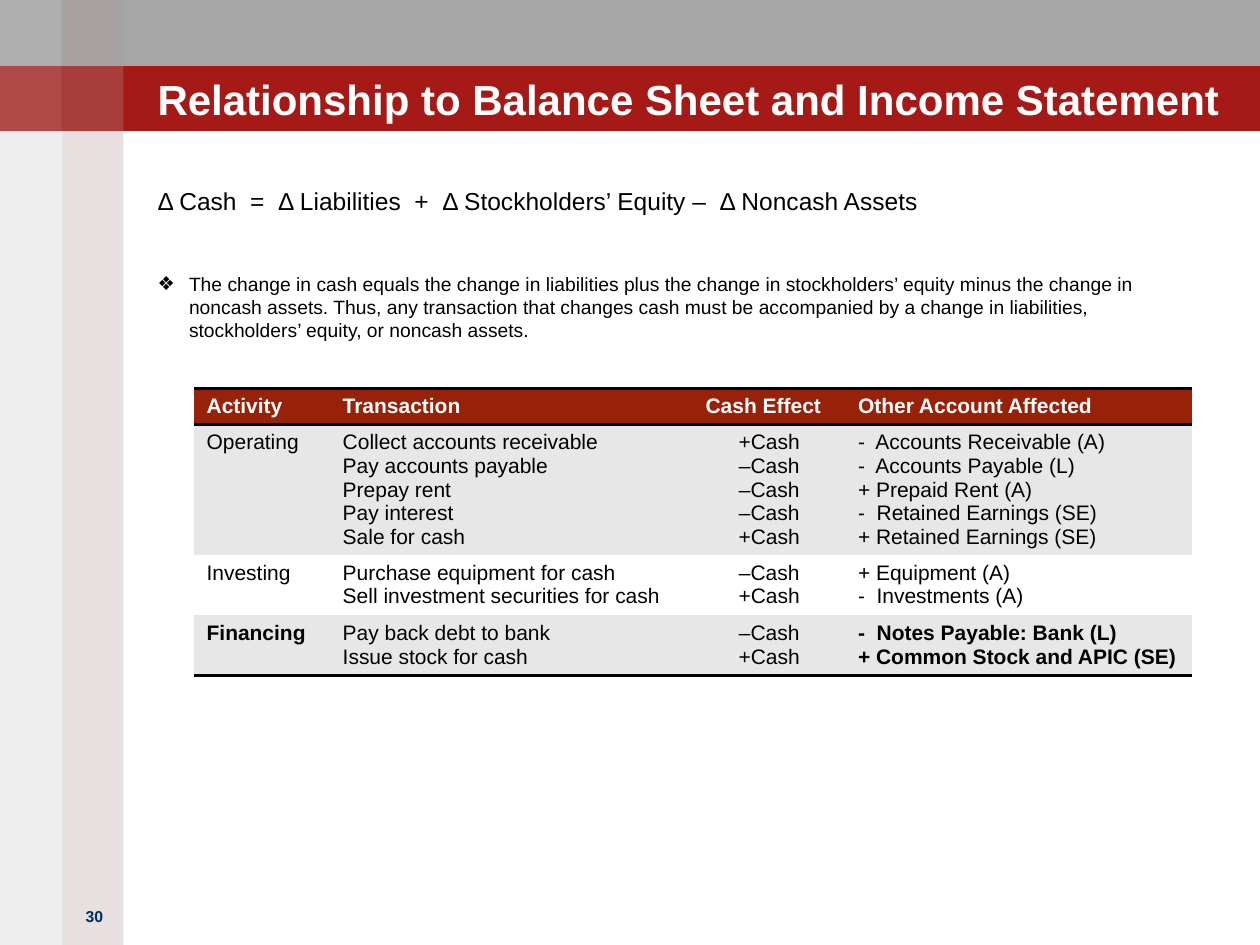
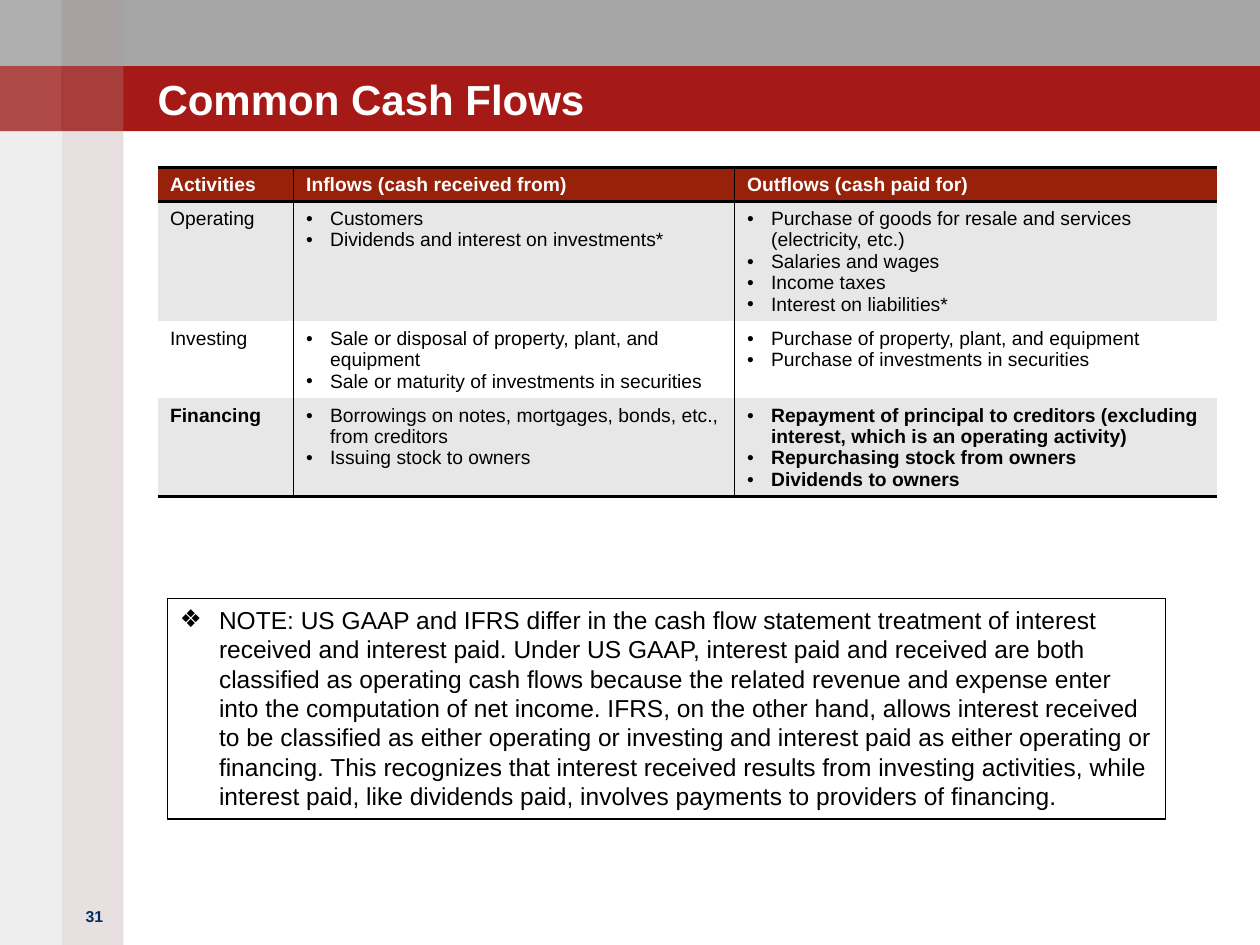
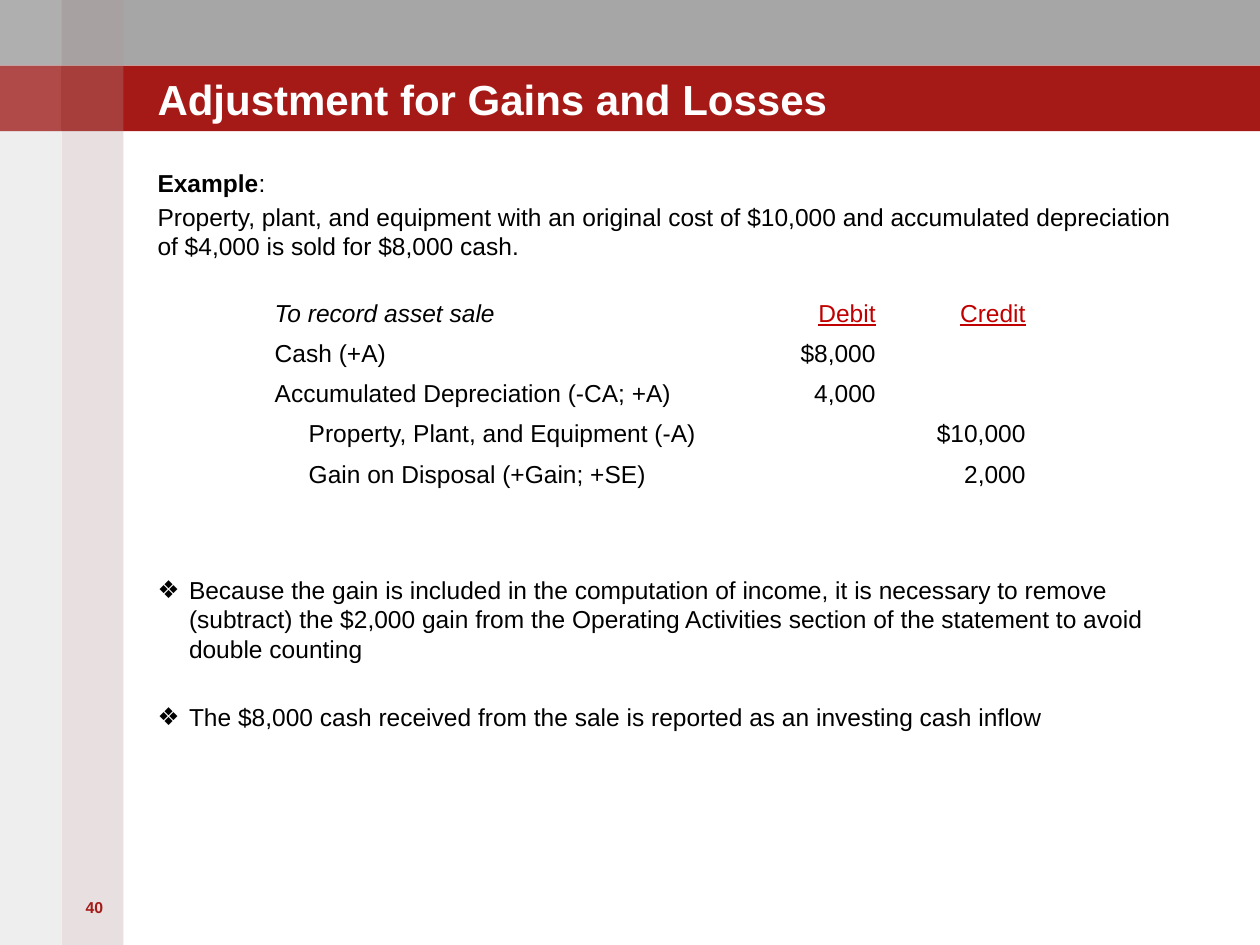
from dataclasses import dataclass
from typing import NamedTuple

from lxml.etree import SubElement
from pptx import Presentation
from pptx.dml.color import RGBColor
from pptx.enum.shapes import MSO_SHAPE
from pptx.enum.text import MSO_ANCHOR, MSO_AUTO_SIZE, PP_ALIGN
from pptx.oxml.ns import qn
from pptx.util import Inches, Pt


@dataclass(frozen=True)
class Theme:
    font: str = "Arial"
    gray: str = "A6A6A6"
    red: str = "A51A17"
    header: str = "972109"
    stripe: str = "E7E7E7"
    white: str = "FFFFFF"
    black: str = "000000"
    navy: str = "002E62"
    accent: str = "C00000"
    rose_rail: str = "A08284"
    gray_rail: str = "938F8F"
    title: float = 24
    text: float = 14
    table: float = 12
    small: float = 11
    number: float = 9


class Box(NamedTuple):
    left: float
    top: float
    width: float
    height: float

    def lengths(self):
        return [Inches(value) for value in self]


THEME = Theme()
PAGE = Box(0, 0, 10, 7.5)
TITLE = Box(1.25, 0.31, 8.25, 0.67)
NUMBER = Box(0.5, 7.15, 0.5, 0.5)
DIAMOND = {"bullet": "❖", "indent": 0.25}
NO_STYLE = "{2D5ABB26-0587-4C30-8999-92F81FD0307C}"


def set_values(target, **values):
    for name, value in values.items():
        setattr(target, name, value)


def write_para(para, text, size=THEME.text, color=THEME.black, align=PP_ALIGN.LEFT,
               before=0, bullet=None, indent=0, **style):
    """Fill a paragraph from a string or from (text, style) pairs."""
    properties = para._p.get_or_add_pPr()
    properties.set("marL", str(Inches(indent)))
    properties.set("indent", str(-Inches(indent) if bullet else 0))
    if bullet:
        SubElement(properties, qn("a:buFont"), typeface=THEME.font)
        SubElement(properties, qn("a:buChar"), char=bullet)
    else:
        SubElement(properties, qn("a:buNone"))
    set_values(para, alignment=align, space_before=Pt(before))
    if not text:
        end = SubElement(para._p, qn("a:endParaRPr"), sz=str(int(size * 100)))
        SubElement(end, qn("a:latin"), typeface=THEME.font)
        return
    for words, extra in [(text, {})] if isinstance(text, str) else text:
        span = para.add_run()
        span.text = words
        set_values(span.font, name=THEME.font, size=Pt(size), **{**style, **extra})
        span.font.color.rgb = RGBColor.from_string(color)


def write_paras(frame, paras, **shared):
    """Write (text, format) pairs into a text frame."""
    for index, (text, style) in enumerate(paras):
        para = frame.add_paragraph() if index else frame.paragraphs[0]
        write_para(para, text, **{**shared, **style})


def set_frame(frame, margins=None, anchor=MSO_ANCHOR.TOP):
    set_values(frame, word_wrap=True, auto_size=MSO_AUTO_SIZE.NONE,
               vertical_anchor=anchor)
    if margins is not None:
        set_values(frame, margin_left=margins, margin_right=margins,
                   margin_top=margins, margin_bottom=margins)


def place(shape, box):
    left, top, width, height = box.lengths()
    set_values(shape, left=left, top=top, width=width, height=height)


def add_band(page, box, color, opacity=100):
    band = page.shapes.add_shape(MSO_SHAPE.RECTANGLE, *box.lengths())
    band.shadow.inherit = False
    band.fill.solid()
    band.fill.fore_color.rgb = RGBColor.from_string(color)
    band.line.fill.background()
    if opacity < 100:
        solid = band.element.spPr.find(qn("a:solidFill"))
        SubElement(solid[0], qn("a:alpha"), val=str(opacity * 1000))
    return band


def add_master_bands(deck, page, box):
    """Build the shared bands and rails, then move them to the slide master."""
    band, rail = 0.52, 0.49
    columns = [(box.left + rail, THEME.rose_rail, 25, 5),
               (box.left, THEME.gray_rail, 15, 15)]
    tops = [box.top, box.top + band]
    bands = [add_band(page, Box(box.left, top, box.width, band), color)
             for top, color in zip(tops, (THEME.gray, THEME.red))]
    bands += [add_band(page, Box(left, box.top, rail, box.height), color, opacity)
              for left, color, opacity, _ in columns]
    bands += [add_band(page, Box(left, top, rail, band), THEME.white, tint)
              for top in tops for left, _, _, tint in columns]
    tree = deck.slide_master.shapes.element
    for index, shape in enumerate(bands):
        shape.element.xpath(".//p:cNvPr")[0].set("id", str(100 + index))
        tree.insert(2 + index, shape.element)


def add_page(deck, layout, title, number, title_box=TITLE, number_box=NUMBER,
             number_color=THEME.navy):
    page = deck.slides.add_slide(deck.slide_layouts.get_by_name(layout))
    heading = page.shapes.title
    place(heading, title_box)
    set_frame(heading.text_frame, 0, MSO_ANCHOR.BOTTOM)
    write_para(heading.text_frame.paragraphs[0], title, size=THEME.title,
               color=THEME.white, bold=True)
    label = page.shapes.add_textbox(*number_box.lengths())
    set_frame(label.text_frame)
    write_para(label.text_frame.paragraphs[0], number, size=THEME.number,
               color=number_color, align=PP_ALIGN.CENTER, bold=True)
    return page


def fill_body(page, box, paras, inset_top=0):
    body = page.placeholders[1]
    place(body, box)
    set_frame(body.text_frame, 0)
    body.text_frame.margin_top = Inches(inset_top)
    write_paras(body.text_frame, paras)


def add_plain_table(page, box, widths, heights):
    frame = page.shapes.add_table(len(heights), len(widths), *box.lengths())
    frame.element.xpath(".//a:tableStyleId")[0].text = NO_STYLE
    table = frame.table
    set_values(table, first_row=False, horz_banding=False)
    for column, width in zip(table.columns, widths):
        column.width = Inches(width)
    for row, height in zip(table.rows, heights):
        row.height = Inches(height)
    return table


def add_borders(cell, sides):
    properties = cell._tc.get_or_add_tcPr()
    for side, width in sides.items():
        if width:
            line = SubElement(properties, qn("a:ln" + side), w=str(Pt(width)))
            solid = SubElement(line, qn("a:solidFill"))
            SubElement(solid, qn("a:srgbClr"), val=THEME.black)


def add_activity_table(page, box, widths, heights, rows, size, formats, divider=0):
    """Draw a striped table; formats holds the body paragraph format by column."""
    table = add_plain_table(page, box, widths, heights)
    last_row, last_column = len(rows) - 1, len(widths) - 1
    for i, row in enumerate(rows):
        for j, lines in enumerate(row):
            cell = table.cell(i, j)
            add_borders(cell, {"L": divider if j else 0,
                               "R": divider if j < last_column else 0,
                               "T": 0 if i else 2,
                               "B": 2 if i in (0, last_row) else 0})
            cell.fill.solid()
            shade = (THEME.stripe if i % 2 else THEME.white) if i else THEME.header
            cell.fill.fore_color.rgb = RGBColor.from_string(shade)
            style = formats.get(j, {}) if i else {"color": THEME.white}
            strong = i == 0 or (i == last_row and j in (0, last_column))
            write_paras(cell.text_frame, [(line, style) for line in lines.split("\n")],
                        size=size, bold=strong)


def add_journal_entry(page, box, widths, rows, indent):
    """Draw a debit and credit entry; credited accounts are indented."""
    table = add_plain_table(page, box, widths, [box.height / len(rows)] * len(rows))
    for i, row in enumerate(rows):
        for j, text in enumerate(row):
            style = {"align": PP_ALIGN.RIGHT} if j else {}
            if i == 0:
                style |= {"color": THEME.accent, "underline": True} if j else {"italic": True}
            elif j == 0 and row[2]:
                style["indent"] = indent
            write_para(table.cell(i, j).text_frame.paragraphs[0], text, **style)


def add_note(page, box, text):
    note = page.shapes.add_shape(MSO_SHAPE.RECTANGLE, *box.lengths())
    note.shadow.inherit = False
    note.fill.background()
    note.line.color.rgb = RGBColor.from_string(THEME.black)
    note.line.width = Pt(0.75)
    set_frame(note.text_frame)
    write_para(note.text_frame.paragraphs[0], text, bullet="❖", indent=0.31)


def add_relationship_page(deck):
    page = add_page(deck, "Title and Content",
                    "Relationship to Balance Sheet and Income Statement", "30",
                    title_box=TITLE._replace(width=8.5))
    fill_body(page, Box(1.25, 1.33, 7.92, 5.5), [
        ("Δ Cash  =  Δ Liabilities  +  Δ Stockholders’ Equity –  Δ Noncash Assets", {}),
        ("The change in cash equals the change in liabilities plus the change in "
         "stockholders’ equity minus the change in noncash assets. Thus, any transaction "
         "that changes cash must be accompanied by a change in liabilities, stockholders’ "
         "equity, or noncash assets.", {"size": THEME.small, "before": 32, **DIAMOND}),
    ], inset_top=0.15)
    rows = [
        ("Activity", "Transaction", "Cash Effect", "Other Account Affected"),
        ("Operating",
         "Collect accounts receivable\nPay accounts payable\nPrepay rent\n"
         "Pay interest\nSale for cash",
         "+Cash\n–Cash\n–Cash\n–Cash\n+Cash",
         "-  Accounts Receivable (A)\n-  Accounts Payable (L)\n+ Prepaid Rent (A)\n"
         "-  Retained Earnings (SE)\n+ Retained Earnings (SE)"),
        ("Investing",
         "Purchase equipment for cash\nSell investment securities for cash",
         "–Cash\n+Cash", "+ Equipment (A)\n-  Investments (A)"),
        ("Financing", "Pay back debt to bank\nIssue stock for cash", "–Cash\n+Cash",
         "-  Notes Payable: Bank (L)\n+ Common Stock and APIC (SE)"),
    ]
    add_activity_table(page, Box(1.54, 3.08, 7.92, 2.28), [1.08, 2.88, 1.21, 2.75],
                       [0.29, 1.03, 0.48, 0.48], rows, THEME.table,
                       {2: {"align": PP_ALIGN.CENTER}})
    return page


def add_cash_flows_page(deck):
    page = add_page(deck, "Title Only", "Common Cash Flows", "31")
    rows = [
        ("Activities", "Inflows (cash received from)", "Outflows (cash paid for)"),
        ("Operating", "Customers\nDividends and interest on investments*",
         "Purchase of goods for resale and services (electricity, etc.)\n"
         "Salaries and wages\nIncome taxes\nInterest on liabilities*"),
        ("Investing",
         "Sale or disposal of property, plant, and equipment\n"
         "Sale or maturity of investments in securities",
         "Purchase of property, plant, and equipment\n"
         "Purchase of investments in securities"),
        ("Financing",
         "Borrowings on notes, mortgages, bonds, etc., from creditors\n"
         "Issuing stock to owners",
         "Repayment of principal to creditors (excluding interest, which is an "
         "operating activity)\nRepurchasing stock from owners\nDividends to owners"),
    ]
    dot = {"bullet": "•", "indent": 0.19}
    add_activity_table(page, Box(1.25, 1.33, 8.41, 2.61), [1.08, 3.5, 3.83],
                       [0.27, 0.95, 0.61, 0.78], rows, THEME.small,
                       {1: dot, 2: dot}, divider=1)
    add_note(page, Box(1.33, 4.75, 7.92, 1.75),
             "NOTE: US GAAP and IFRS differ in the cash flow statement treatment of "
             "interest received and interest paid. Under US GAAP, interest paid and "
             "received are both classified as operating cash flows because the related "
             "revenue and expense enter into the computation of net income. IFRS, on the "
             "other hand, allows interest received to be classified as either operating "
             "or investing and interest paid as either operating or financing. This "
             "recognizes that interest received results from investing activities, while "
             "interest paid, like dividends paid, involves payments to providers of "
             "financing.")


def add_gains_page(deck):
    page = add_page(deck, "Title and Content", "Adjustment for Gains and Losses", "40",
                    number_box=Box(0.5, 7.08, 0.5, 0.56), number_color=THEME.red)
    fill_body(page, Box(1.25, 1.33, 8.25, 6), [
        ([("Example", {"bold": True}), (":", {})], {}),
        ("Property, plant, and equipment with an original cost of $10,000 and accumulated "
         "depreciation of $4,000 is sold for $8,000 cash.", {"before": 2.8}),
        ("Because the gain is included in the computation of income, it is necessary to "
         "remove (subtract) the $2,000 gain from the Operating Activities section of the "
         "statement to avoid double counting", {"before": 179.5, **DIAMOND}),
        ("The $8,000 cash received from the sale is reported as an investing cash inflow",
         {"before": 22.5, **DIAMOND}),
    ])
    add_journal_entry(page, Box(2.08, 2.33, 6.16, 1.6), [3.88, 1.09, 1.19], [
        ("To record asset sale", "Debit", "Credit"),
        ("Cash (+A)", "$8,000", ""),
        ("Accumulated Depreciation (-CA; +A)", "4,000", ""),
        ("Property, Plant, and Equipment (-A)", "", "$10,000"),
        ("Gain on Disposal (+Gain; +SE)", "", "2,000"),
    ], indent=0.27)


def main():
    deck = Presentation()
    set_values(deck, slide_width=Inches(PAGE.width), slide_height=Inches(PAGE.height))
    first_page = add_relationship_page(deck)
    add_master_bands(deck, first_page, PAGE)
    add_cash_flows_page(deck)
    add_gains_page(deck)
    deck.save("out.pptx")


if __name__ == "__main__":
    main()
